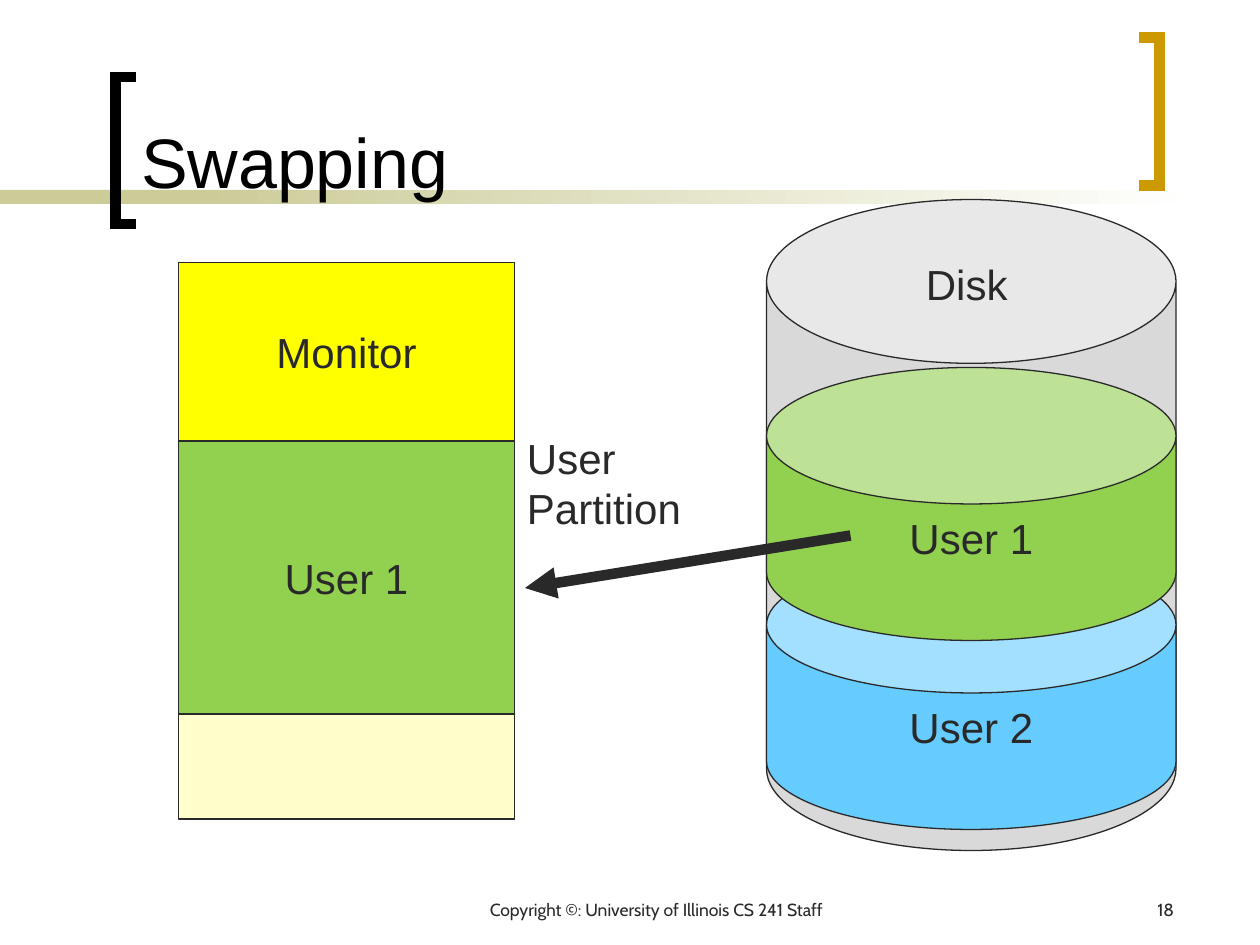
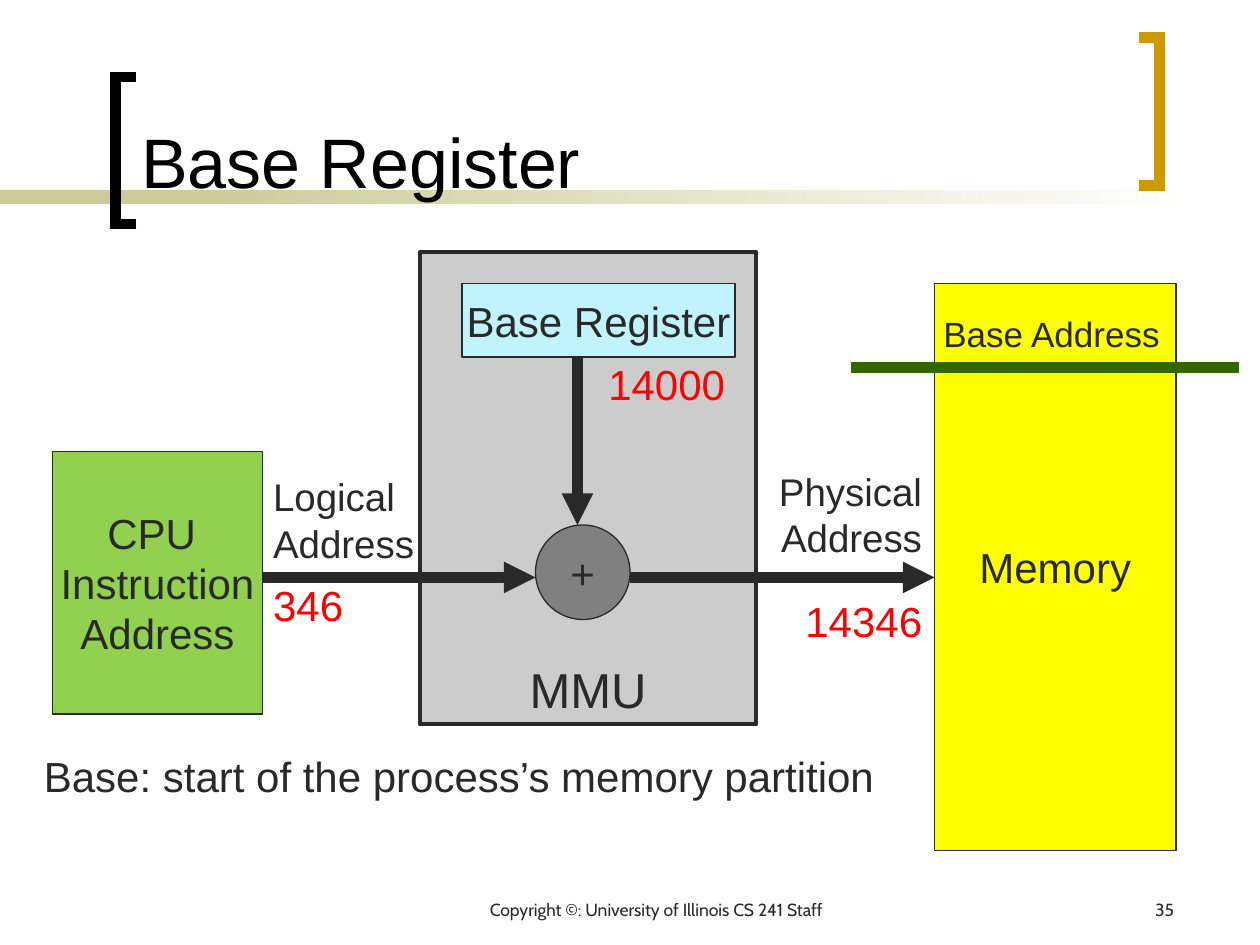
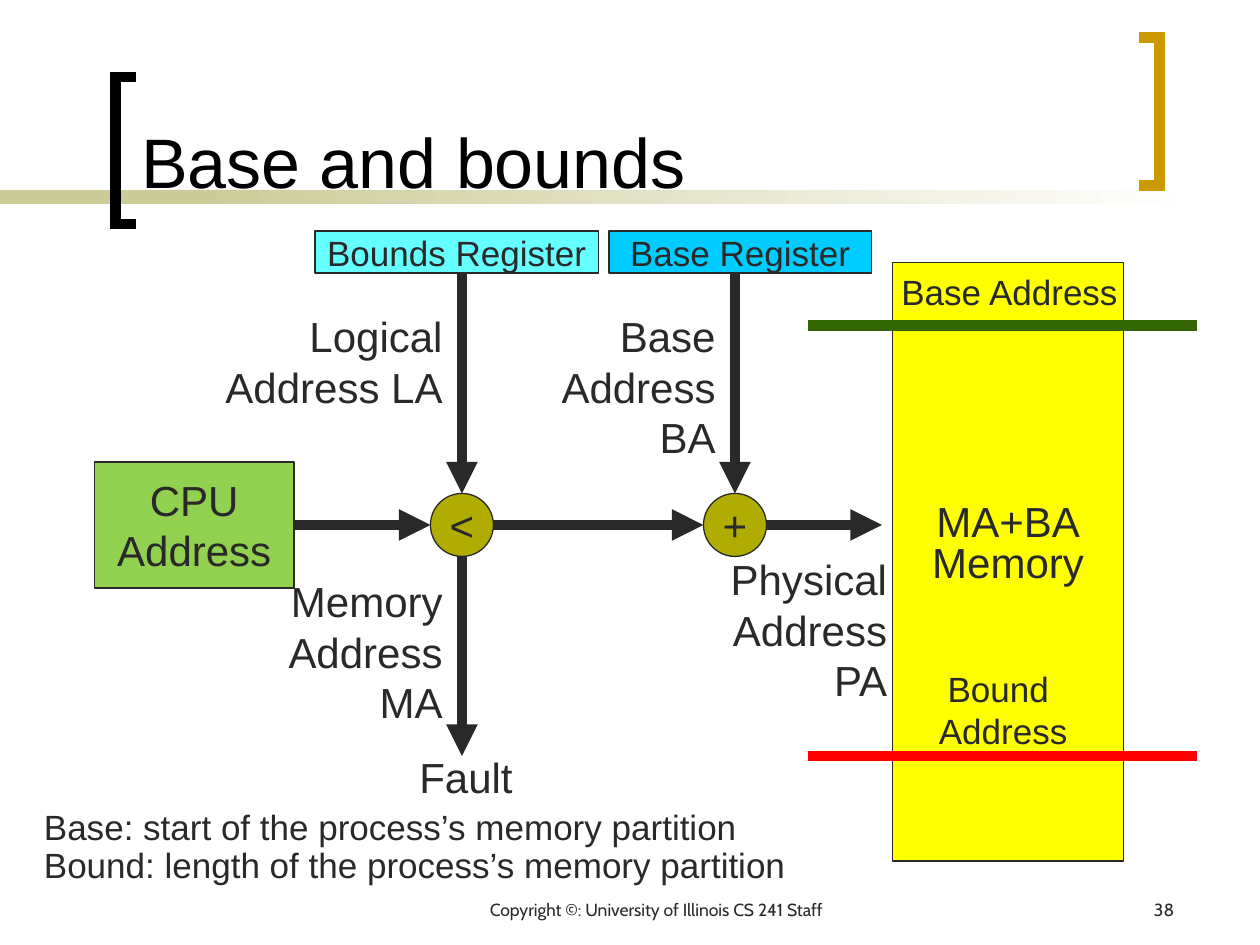
import pptx
import pptx.util
import pptx.dml.color
import pptx.enum.shapes
import pptx.enum.text
import pptx.oxml.ns
import lxml.etree

Pt = pptx.util.Pt
FORM = pptx.enum.shapes.MSO_SHAPE
ALIGN = pptx.enum.text.PP_ALIGN
ANCHOR = pptx.enum.text.MSO_ANCHOR
GROW = pptx.enum.text.MSO_AUTO_SIZE.SHAPE_TO_FIT_TEXT

COLORS = {
    "ink": "292929", "black": "000000", "white": "FFFFFF", "sand": "CCCC99",
    "gold": "CC9900", "cream": "FFFFCC", "yellow": "FFFF00", "green": "92D050",
    "gray": "D9D9D9", "silver": "CCCCCC", "stone": "808080", "sky": "66CCFF",
    "ice": "C1F3FF", "aqua": "66FFFF", "blue": "00CCFF", "olive": "B0AC00",
    "red": "FF0000", "moss": "336600",
}
SIDES = {"l": ALIGN.LEFT, "c": ALIGN.CENTER, "r": ALIGN.RIGHT}
FORMS = {"rect": FORM.RECTANGLE, "can": FORM.CAN, "oval": FORM.OVAL}
FOOT = "Copyright ©: University of Illinois CS 241 Staff"
BASE = "Base: start of the process’s memory partition"
BOUND = "Bound: length of the process’s memory partition"

# Content, from back to front; boxes are (left, top, width, height) in points
# shape: form, box, fill, text, options    text: box, words, options
# arrow and bar: from, to, colour
SLIDES = [
    ("Swapping", 18, [
        ("shape", "rect", (102, 150, 192, 318), "cream", "", {}),
        ("shape", "rect", (102, 150, 192, 102), "yellow", "Monitor", {}),
        ("shape", "can", (438, 114, 234, 372), "gray", "", {"adj": 0.4}),
        ("text", (522, 144, 62, 36.5), "Disk", {}),
        ("shape", "rect", (102, 252, 192, 156), "green", "User 1", {}),
        ("shape", "can", (438, 318, 234, 156), "sky", "User 2", {"adj": 0.5}),
        ("text", (294, 243.5, 104, 65.5), "User\nPartition", {}),
        ("shape", "can", (438, 210, 234, 156), "green", "User 1", {"adj": 0.5}),
        ("arrow", (486, 306), (300, 336), "ink"),
    ]),
    ("Base Register", 35, [
        ("shape", "rect", (240, 144, 192, 270), "silver", "MMU",
         {"edge": 2.25, "size": 28, "anchor": ANCHOR.BOTTOM}),
        ("shape", "rect", (534, 162, 138, 324), "yellow", "Memory", {}),
        ("shape", "rect", (264, 162, 156, 42), "ice", "Base Register", {}),
        ("shape", "rect", (30, 258, 120, 150), "green",
         "CPU \nInstruction\nAddress", {}),
        ("shape", "oval", (306, 300, 54, 54), "stone", "+", {}),
        ("arrow", (150, 330), (306, 330), "ink"),
        ("arrow", (360, 330), (534, 330), "ink"),
        ("arrow", (330, 204), (330, 300), "ink"),
        ("text", (340.5, 201.5, 82, 36.5), "14000", {"color": "red"}),
        ("text", (149, 327.5, 55, 36.5), "346", {"color": "red"}),
        ("text", (452, 336.5, 82, 36.5), "14346", {"color": "red", "side": "r"}),
        ("text", (437, 264, 97, 60.5), "Physical\nAddress",
         {"size": 22, "side": "r"}),
        ("text", (149, 267, 97, 60.5), "Logical\nAddress", {"size": 22}),
        ("bar", (486, 210), (708, 210), "moss"),
        ("text", (532, 175, 139, 31.5), "Base Address", {"size": 20}),
        ("text", (18, 428.5, 498, 34), BASE, {"wrap": True, "gap": 0.9}),
    ]),
    ("Base and bounds", 38, [
        ("shape", "rect", (510, 150, 132, 342), "yellow", "Memory", {}),
        ("shape", "rect", (180, 132, 162, 24), "aqua", "Bounds Register",
         {"size": 20}),
        ("shape", "rect", (348, 132, 150, 24), "blue", "Base Register",
         {"size": 20}),
        ("shape", "rect", (54, 264, 114, 72), "green", "CPU\nAddress", {}),
        ("shape", "oval", (246, 282, 36, 36), "olive", "<", {}),
        ("shape", "oval", (402, 282, 36, 36), "olive", "+", {}),
        ("arrow", (168, 300), (246, 300), "ink"),
        ("arrow", (438, 300), (504, 300), "ink"),
        ("arrow", (282, 300), (402, 300), "ink"),
        ("arrow", (264, 156), (264, 282), "ink"),
        ("arrow", (420, 156), (420, 282), "ink"),
        ("bar", (462, 432), (684, 432), "red"),
        ("bar", (462, 186), (684, 186), "moss"),
        ("text", (156, 325.5, 104, 94.5), "Memory\nAddress\nMA", {"side": "r"}),
        ("text", (120, 174, 140, 65.5), "Logical\nAddress LA", {"side": "r"}),
        ("text", (409, 313, 105, 94.5), "Physical\nAddress\nPA", {"side": "r"}),
        ("arrow", (264, 318), (264, 432), "ink"),
        ("text", (232.5, 426, 68.5, 36.5), "Fault", {}),
        ("text", (508, 151, 139, 31.5), "Base Address", {"size": 20}),
        ("text", (529, 378, 88.5, 55.5), "Bound \nAddress",
         {"size": 20, "side": "c"}),
        ("text", (528, 279.5, 100, 36), "MA+BA", {}),
        ("text", (312, 174, 104, 94.5), "Base\nAddress\nBA", {"side": "r"}),
        ("text", (18, 459.5, 528, 51), BASE + "\n" + BOUND,
         {"size": 20, "wrap": True, "gap": 0.9}),
    ]),
]

# Brackets around the title: corner points
HOOKS = [
    ("black", [(78, 128), (66, 128), (66, 44), (78, 44)]),
    ("gold", [(651, 21.5), (662.5, 21.5), (662.5, 106), (651, 106)]),
]


def rgb(name):
    return pptx.dml.color.RGBColor.from_string(COLORS[name])


def pts(nums):
    return [Pt(n) for n in nums]


def extend(node, tag, **attrs):
    name = pptx.oxml.ns.qn("a:" + tag)
    return lxml.etree.SubElement(node, name, **attrs)


def stroke(item, color, width):
    item.line.color.rgb = rgb(color)
    item.line.width = Pt(width)


def write(frame, words, size=24, color="ink", side="l", font="Arial",
          wrap=False, anchor=ANCHOR.TOP, gap=None):
    frame.word_wrap = wrap
    frame.vertical_anchor = anchor
    frame.text = words
    for para in frame.paragraphs:
        para.alignment = SIDES[side]
        para.font.name = font
        para.font.size = Pt(size)
        para.font.color.rgb = rgb(color)
        if gap:
            para.line_spacing = gap


def text(slide, box, words, opts, grow=True):
    frame = slide.shapes.add_textbox(*pts(box)).text_frame
    write(frame, words, **opts)
    if grow:
        frame.auto_size = GROW


def shape(slide, form, box, fill, words, opts):
    item = slide.shapes.add_shape(FORMS[form], *pts(box))
    item.shadow.inherit = False
    item.fill.solid()
    item.fill.fore_color.rgb = rgb(fill)
    style = {"side": "c", "anchor": ANCHOR.MIDDLE, **opts}
    edge = style.pop("edge", 0.75)
    if edge:
        stroke(item, "ink", edge)
    else:
        item.line.fill.background()
    adj = style.pop("adj", None)
    if adj:
        item.adjustments[0] = adj
    if words:
        write(item.text_frame, words, **style)
    return item


def bar(slide, start, end, color):
    kind = pptx.enum.shapes.MSO_CONNECTOR.STRAIGHT
    item = slide.shapes.add_connector(kind, *pts(start + end))
    stroke(item, color, 6)
    extend(item._element.spPr, "effectLst")
    return item


def arrow(slide, start, end, color):
    item = bar(slide, start, end, color)
    extend(item.line._get_or_add_ln(), "tailEnd", type="triangle")


def hook(slide, color, corners):
    first, *rest = [pts(spot) for spot in corners]
    build = slide.shapes.build_freeform(*first)
    build.add_line_segments(rest, close=False)
    item = build.convert_to_shape()
    item.shadow.inherit = False
    item.fill.background()
    stroke(item, color, 6)
    extend(item.line._get_or_add_ln(), "miter", lim="800000")


def frame(slide, title, page):
    # Band that fades to the right
    shape(slide, "rect", (0, 108.5, 168, 8), "sand", "", {"edge": 0})
    fade = shape(slide, "rect", (114, 108.5, 570, 8), "sand", "", {"edge": 0})
    fade.fill.gradient()
    fade.fill.gradient_angle = 0
    for stop, color in zip(fade.fill.gradient_stops, ("sand", "white")):
        stop.color.rgb = rgb(color)
    for color, corners in HOOKS:
        hook(slide, color, corners)
    # Title and footer
    text(slide, (73.5, 8, 564, 111.5), title,
         {"size": 40, "color": "black", "wrap": True, "anchor": ANCHOR.BOTTOM},
         grow=False)
    small = {"size": 10, "font": "Cabin", "wrap": True}
    text(slide, (222, 510, 306, 18), FOOT, {**small, "side": "c"}, grow=False)
    text(slide, (528, 510, 150, 18), str(page), {**small, "side": "r"},
         grow=False)


# Build the slides
DRAW = {"shape": shape, "text": text, "arrow": arrow, "bar": bar}
deck = pptx.Presentation()
deck.slide_width, deck.slide_height = Pt(720), Pt(540)
for title, page, parts in SLIDES:
    slide = deck.slides.add_slide(deck.slide_layouts[6])
    frame(slide, title, page)
    for kind, *args in parts:
        DRAW[kind](slide, *args)
deck.save("out.pptx")
